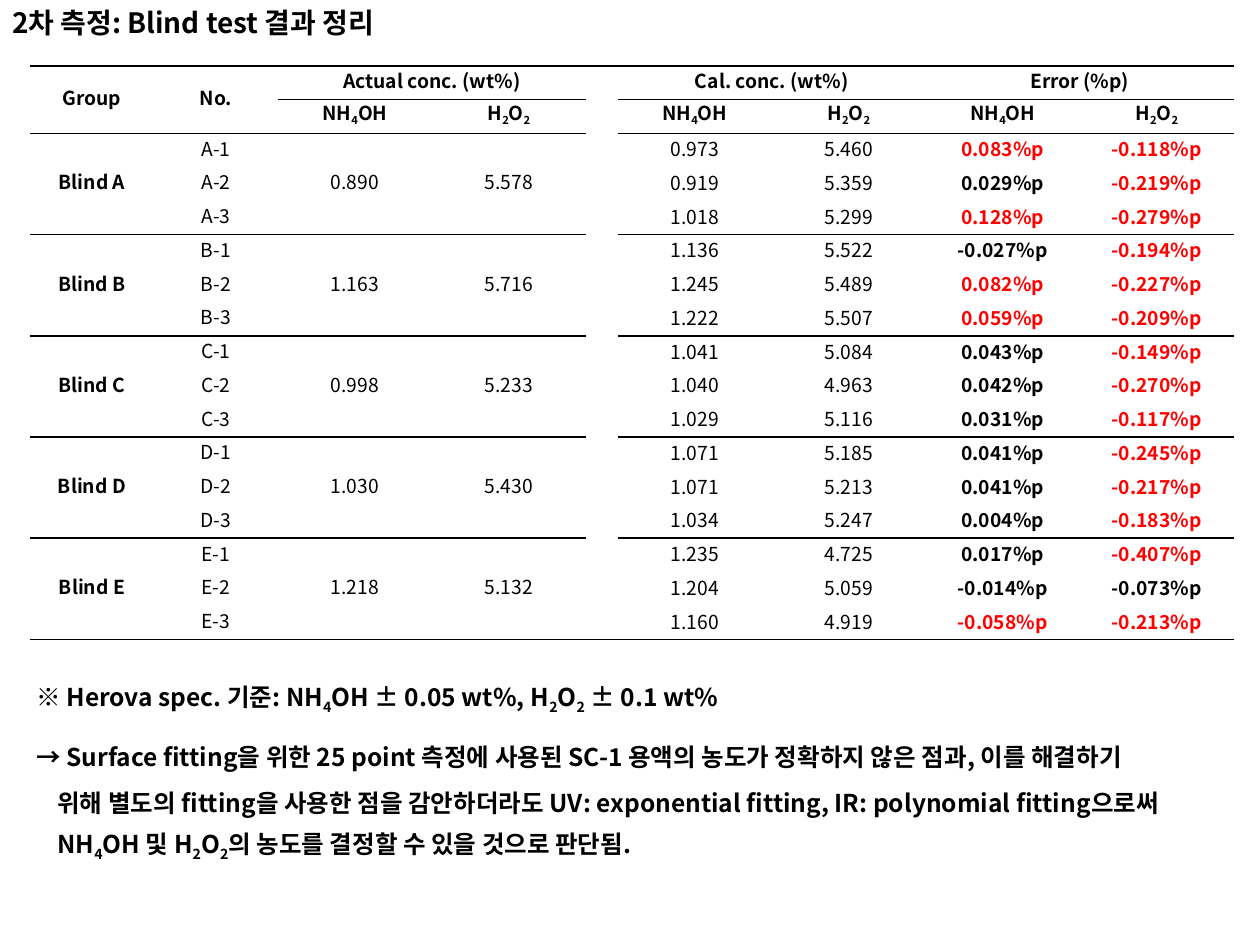
from pptx import Presentation
from pptx.util import Pt
from pptx.dml.color import RGBColor as Rgb
from pptx.enum.text import PP_ALIGN as Align, MSO_ANCHOR as Anchor
from pptx.oxml.ns import qn
from lxml.etree import SubElement as Sub

TITLE = "2차 측정: Blind test 결과 정리"
NOTES = [
    ["※ Herova spec. 기준: NH_4OH ± 0.05 wt%, H_2O_2 ± 0.1 wt%"],
    ["→ Surface fitting을 위한 25 point 측정에 사용된 SC-1 용액의 농도가 정확하지 않은 점과, 이를 해결하기",
     "위해 별도의 fitting을 사용한 점을 감안하더라도 UV: exponential fitting, IR: polynomial fitting으로써",
     "NH_4OH 및 H_2O_2의 농도를 결정할 수 있을 것으로 판단됨."],
]
HEADS = {0: "Group", 1: "No."}
PAIRS = {2: "Actual conc. (wt%)", 5: "Cal. conc. (wt%)", 7: "Error (%p)"}
SOLUTES = ["NH_4OH", "H_2O_2"]
LIMITS = [0.05, 0.1]
BLINDS = {
    "A": ((0.890, 5.578), [(0.973, 5.460), (0.919, 5.359), (1.018, 5.299)]),
    "B": ((1.163, 5.716), [(1.136, 5.522), (1.245, 5.489), (1.222, 5.507)]),
    "C": ((0.998, 5.233), [(1.041, 5.084), (1.040, 4.963), (1.029, 5.116)]),
    "D": ((1.030, 5.430), [(1.071, 5.185), (1.071, 5.213), (1.034, 5.247)]),
    "E": ((1.218, 5.132), [(1.235, 4.725), (1.204, 5.059), (1.160, 4.919)]),
}
WIDTHS = [124, 124, 154, 154, 32, 154, 154, 154, 154]
ROWS, ROW, GAP = 17, 33, 4
THEME = {
    "font": "Noto Sans CJK KR", "ink": "000000", "alert": "FF0000",
    "title": {"size": 16, "lead": 19},
    "note": {"size": 14, "lead": 26},
    "cell": {"size": 11, "lead": 13},
}
PLAIN = "{2D5ABB26-0587-4C30-8999-92F81FD0307C}"
SCALE = 914400 // 126


def px(*sizes):
    return [size * SCALE for size in sizes]


def write(para, lines, kind, bold=True, color="ink"):
    style = THEME[kind]
    para.line_spacing = Pt(style["lead"])
    for row, line in enumerate(lines):
        if row:
            para.add_line_break()
        first, *rest = line.split("_")
        parts = [(first, False)]
        for part in rest:
            parts += [(part[0], True), (part[1:], False)]
        for text, low in parts:
            if not text:
                continue
            run = para.add_run()
            run.text = text
            look = {"size": Pt(style["size"]), "bold": bold, "name": THEME["font"]}
            for key, value in look.items():
                setattr(run.font, key, value)
            run.font.color.rgb = Rgb.from_string(THEME[color])
            props = run._r.get_or_add_rPr()
            Sub(props, qn("a:ea"), typeface=THEME["font"])
            if low:
                props.set("baseline", "-25000")
    if not lines:
        Sub(para._p, qn("a:endParaRPr"), sz=str(style["size"] * 100))


def ruled(edge, col):
    if edge in (0, ROWS):
        return True
    if edge == 1:
        return col in range(2, 9) and col != GAP
    return edge % 3 == 2 and col != GAP


def border(cell, row, col):
    end = row + (cell.span_height if cell.is_merge_origin else 1)
    sides = {"lnL": False, "lnR": False, "lnT": ruled(row, col), "lnB": ruled(end, col)}
    props = cell._tc.get_or_add_tcPr()
    for side, shown in sides.items():
        line = Sub(props, qn("a:" + side), w=str(Pt(1) if shown else 0))
        if shown:
            fill = Sub(line, qn("a:solidFill"))
            Sub(fill, qn("a:srgbClr"), val=THEME["ink"])
        else:
            Sub(line, qn("a:noFill"))


def contents():
    cells = {(0, col): (text, True, "ink") for col, text in {**HEADS, **PAIRS}.items()}
    for col in PAIRS:
        for k, name in enumerate(SOLUTES):
            cells[1, col + k] = (name, True, "ink")
    for g, (name, (actual, trials)) in enumerate(BLINDS.items()):
        top = 2 + 3 * g
        cells[top, 0] = (f"Blind {name}", True, "ink")
        for k, value in enumerate(actual):
            cells[top, 2 + k] = (f"{value:.3f}", False, "ink")
        for n, trial in enumerate(trials):
            row = top + n
            cells[row, 1] = (f"{name}-{n + 1}", False, "ink")
            for k, value in enumerate(trial):
                error = value - actual[k]
                color = "alert" if abs(error) > LIMITS[k] else "ink"
                cells[row, 5 + k] = (f"{value:.3f}", False, "ink")
                cells[row, 7 + k] = (f"{error:.3f}%p", True, color)
    return cells


def add_grid(slide):
    frame = slide.shapes.add_table(ROWS, len(WIDTHS), *px(30, 66, sum(WIDTHS), ROWS * ROW))
    grid = frame.table
    grid.first_row = grid.horz_banding = False
    grid._tbl.tblPr.find(qn("a:tableStyleId")).text = PLAIN
    for col, width in zip(grid.columns, px(*WIDTHS)):
        col.width = width
    for row in grid.rows:
        row.height = ROW * SCALE
    for col in HEADS:
        grid.cell(0, col).merge(grid.cell(1, col))
    for col in PAIRS:
        grid.cell(0, col).merge(grid.cell(0, col + 1))
    for top in range(2, ROWS, 3):
        for col in (0, 2, 3):
            grid.cell(top, col).merge(grid.cell(top + 2, col))
    cells = contents()
    for row in range(ROWS):
        for col in range(len(WIDTHS)):
            cell = grid.cell(row, col)
            insets = (1, 1, 1, 0) if row > 1 and col > GAP else (5, 5, 5, 5)
            for side, size in zip(("left", "top", "right", "bottom"), px(*insets)):
                setattr(cell, "margin_" + side, size)
            cell.vertical_anchor = Anchor.MIDDLE
            border(cell, row, col)
            cell.fill.background()
            para = cell.text_frame.paragraphs[0]
            para.alignment = Align.CENTER
            text, bold, color = cells.get((row, col), ("", False, "ink"))
            write(para, [text] if text else [], "cell", bold, color)


def add_notes(slide):
    frame = slide.shapes.add_textbox(*px(24, 664, 1211, 202)).text_frame
    frame.word_wrap = True
    for n, lines in enumerate(NOTES):
        para = frame.add_paragraph() if n else frame.paragraphs[0]
        if n:
            props = para._p.get_or_add_pPr()
            props.set("marL", str(21 * SCALE))
            props.set("indent", str(-21 * SCALE))
        else:
            para.space_after = Pt(6)
        write(para, lines, "note")


def main():
    deck = Presentation()
    deck.slide_width, deck.slide_height = px(1260, 945)
    slide = deck.slides.add_slide(deck.slide_layouts[6])
    add_grid(slide)
    add_notes(slide)
    title = slide.shapes.add_textbox(*px(0, 0, 416, 47)).text_frame
    title.word_wrap = False
    write(title.paragraphs[0], [TITLE], "title")
    deck.save("out.pptx")


if __name__ == "__main__":
    main()
